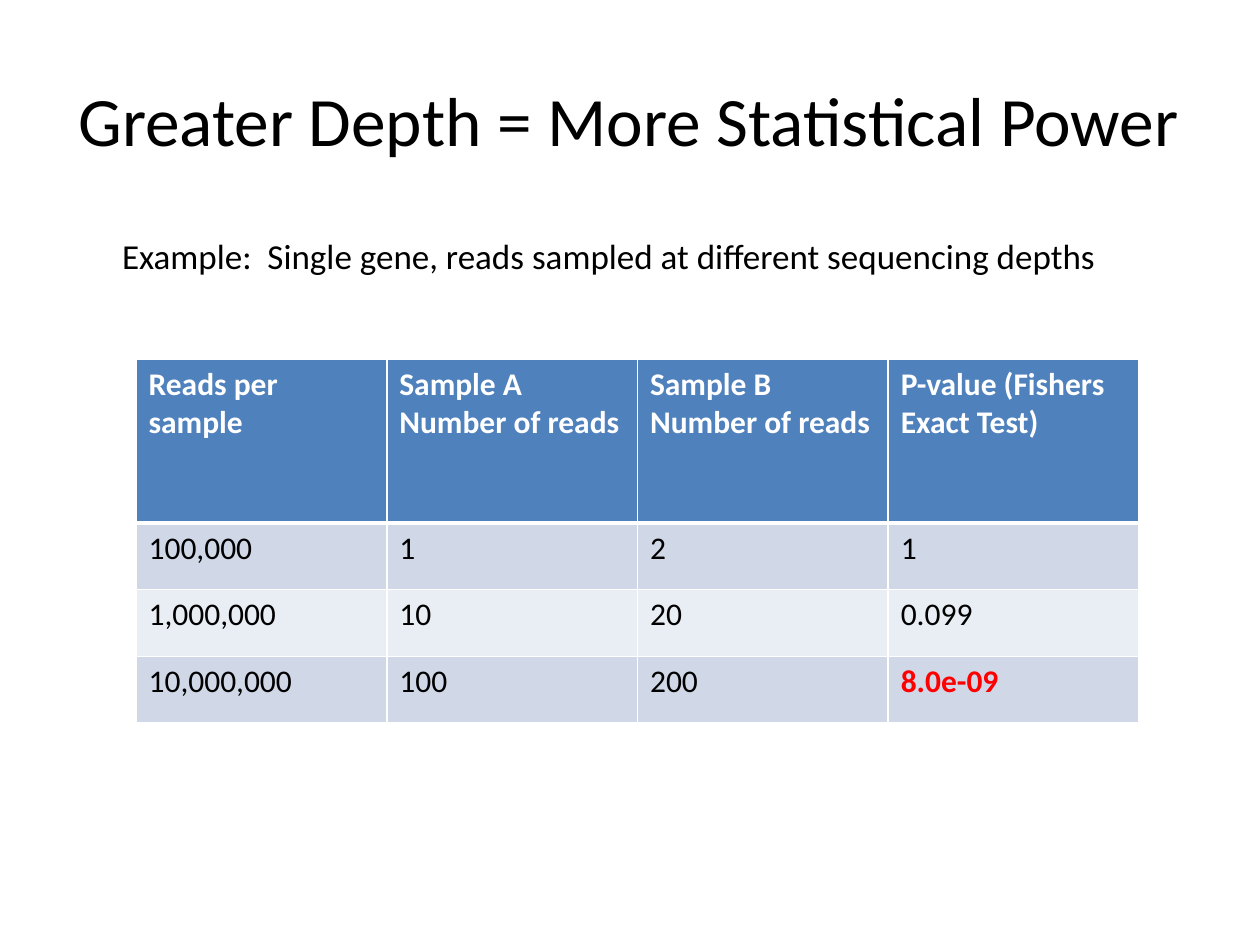
from lxml.etree import SubElement
from pptx import Presentation
from pptx.dml.color import RGBColor
from pptx.enum.text import MSO_ANCHOR, MSO_AUTO_SIZE, PP_ALIGN
from pptx.oxml.ns import qn
from pptx.util import Inches, Pt

BLACK = RGBColor(0x00, 0x00, 0x00)
WHITE = RGBColor(0xFF, 0xFF, 0xFF)
RED = RGBColor(0xFF, 0x00, 0x00)
HEADER_BLUE = RGBColor(0x4F, 0x81, 0xBD)
BANDS = (RGBColor(0xD0, 0xD8, 0xE8), RGBColor(0xE9, 0xED, 0xF4))

READ_COUNTS = [
    ["Reads per sample", "Sample A\nNumber of reads", "Sample B\nNumber of reads",
     "P-value (Fishers Exact Test)"],
    ["100,000", "1", "2", "1"],
    ["1,000,000", "10", "20", "0.099"],
    ["10,000,000", "100", "200", "8.0e-09"],
]
SIGNIFICANT = "8.0e-09"


class SlideBuilder:
    font_name = "Calibri"

    def __init__(self, slide):
        self.slide = slide

    def set_text(self, text_frame, text, size, color=BLACK, bold=False, align=PP_ALIGN.LEFT):
        text_frame.text = text
        for paragraph in text_frame.paragraphs:
            paragraph.alignment = align
            font = paragraph.font
            font.name = self.font_name
            font.size = Pt(size)
            font.bold = bold
            font.color.rgb = color

    def title(self, text, left, top, width, height):
        shape = self.slide.shapes.title
        shape.left, shape.top = Inches(left), Inches(top)
        shape.width, shape.height = Inches(width), Inches(height)
        text_frame = shape.text_frame
        text_frame.auto_size = MSO_AUTO_SIZE.NONE
        text_frame.vertical_anchor = MSO_ANCHOR.MIDDLE
        self.set_text(text_frame, text, 39.6, align=PP_ALIGN.CENTER)

    def text(self, text, left, top, width, height):
        shape = self.slide.shapes.add_textbox(
            Inches(left), Inches(top), Inches(width), Inches(height))
        shape.text_frame.word_wrap = False
        shape.text_frame.auto_size = MSO_AUTO_SIZE.SHAPE_TO_FIT_TEXT
        self.set_text(shape.text_frame, text, 20)

    def borders(self, cell, top_width, bottom_width):
        properties = cell._tc.get_or_add_tcPr()
        widths = {"a:lnL": 1, "a:lnR": 1, "a:lnT": top_width, "a:lnB": bottom_width}
        for tag, width in widths.items():
            line = SubElement(properties, qn(tag), w=str(Pt(width)))
            fill = SubElement(line, qn("a:solidFill"))
            SubElement(fill, qn("a:srgbClr"), val=str(WHITE))

    def table(self, rows, left, top, column_width, row_heights):
        column_count = len(rows[0])
        table = self.slide.shapes.add_table(
            len(rows), column_count, Inches(left), Inches(top),
            Inches(column_width * column_count), Inches(sum(row_heights))).table
        for column in table.columns:
            column.width = Inches(column_width)
        for index, (values, height) in enumerate(zip(rows, row_heights)):
            table.rows[index].height = Inches(height)
            header = index == 0
            for cell, value in zip(table.rows[index].cells, values):
                significant = value == SIGNIFICANT
                color = WHITE if header else RED if significant else BLACK
                self.set_text(cell.text_frame, value, 18, color, header or significant)
                self.borders(cell, 3 if index == 1 else 1, 3 if header else 1)
                cell.fill.solid()
                cell.fill.fore_color.rgb = HEADER_BLUE if header else BANDS[(index - 1) % 2]


def main():
    presentation = Presentation()
    presentation.slide_width = Inches(10)
    presentation.slide_height = Inches(7.5)
    builder = SlideBuilder(presentation.slides.add_slide(presentation.slide_layouts[5]))
    builder.title("Greater Depth = More Statistical Power", 0.37, 0.32, 9.24, 1.25)
    builder.table(READ_COUNTS, 1.08, 2.85, 1.99, [1.3, 0.53, 0.53, 0.53])
    builder.text("Example:  Single gene, reads sampled at different sequencing depths",
                 0.87, 1.81, 8.02, 0.44)
    presentation.save("out.pptx")


if __name__ == "__main__":
    main()
